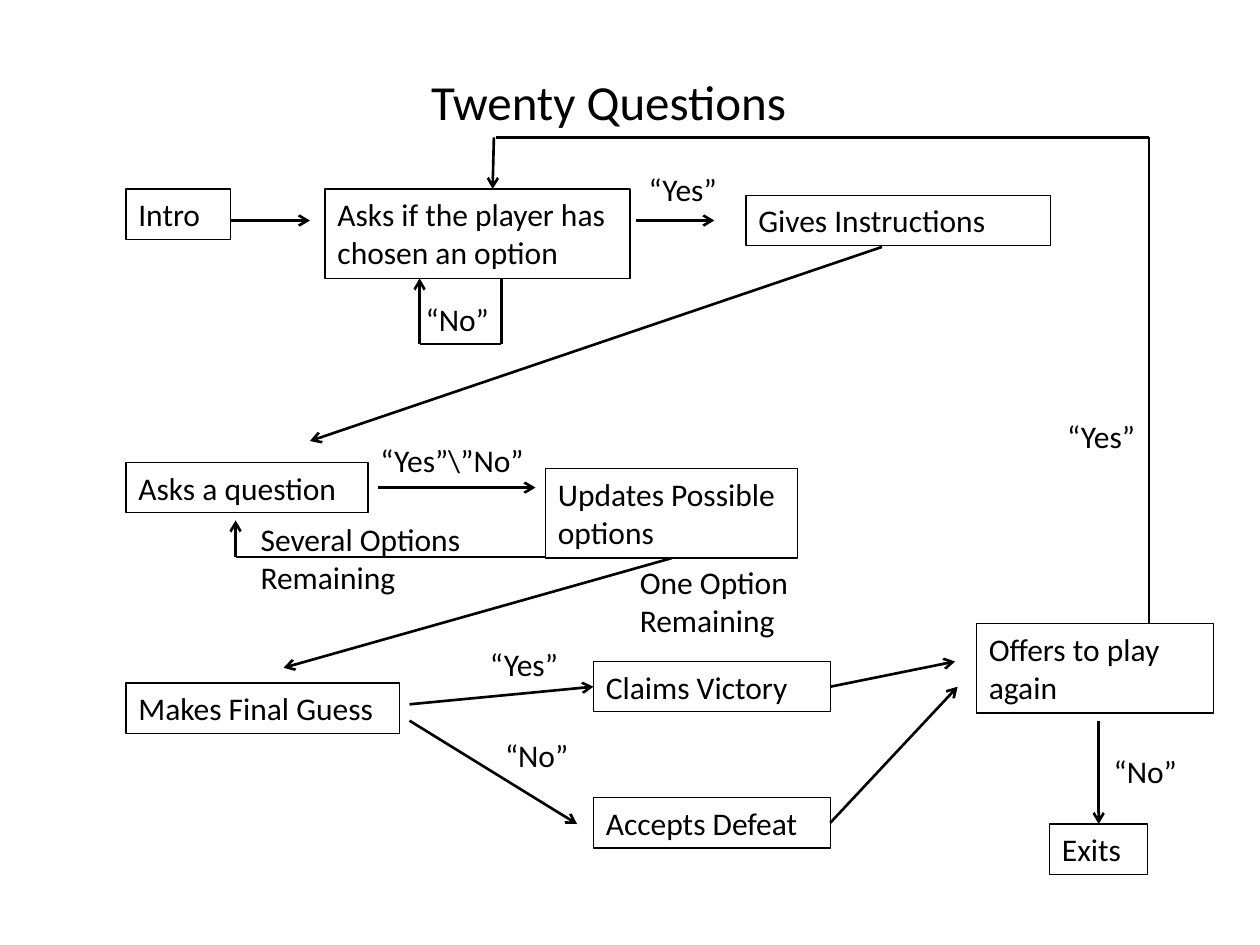
from lxml import etree
from pptx import Presentation
from pptx import util as u
from pptx.dml.color import RGBColor
from pptx.enum import shapes, text
from pptx.oxml.ns import qn

BLACK = RGBColor(0, 0, 0)
FONT = "Calibri"
ONE_LINE, TWO_LINES = 0.4, 0.71
TOP, LEFT, BOTTOM, RIGHT = range(4)


class FlowChart:
    """Holds the style and the current slide."""

    def __init__(self, slide):
        self.slide = slide

    def add_words(self, frame, words, size=18, align=text.PP_ALIGN.LEFT):
        paragraph = frame.paragraphs[0]
        paragraph.alignment = align
        run = paragraph.add_run()
        run.text = words
        run.font.size = u.Pt(size)
        run.font.name = FONT
        run.font.color.rgb = BLACK

    def fit(self, frame, words):
        frame.word_wrap = True
        frame.auto_size = text.MSO_AUTO_SIZE.SHAPE_TO_FIT_TEXT
        frame.vertical_anchor = text.MSO_ANCHOR.TOP
        self.add_words(frame, words)

    def title(self, words, *place):
        heading = self.slide.shapes.title
        heading.left, heading.top, heading.width, heading.height = map(u.Inches, place)
        heading.text_frame.vertical_anchor = text.MSO_ANCHOR.MIDDLE
        self.add_words(heading.text_frame, words, 28, text.PP_ALIGN.CENTER)

    def step(self, words, x, y, width, height=ONE_LINE):
        box = self.slide.shapes.add_shape(
            shapes.MSO_SHAPE.RECTANGLE, *map(u.Inches, (x, y, width, height)))
        box.shadow.inherit = False
        box.fill.background()
        box.line.color.rgb = BLACK
        box.line.width = u.Pt(0.75)
        self.fit(box.text_frame, words)
        return box

    def label(self, words, x, y, width=0.75, height=ONE_LINE):
        note = self.slide.shapes.add_textbox(*map(u.Inches, (x, y, width, height)))
        self.fit(note.text_frame, words)

    def line(self, start, end, source=None, target=None, arrow=False):
        link = self.slide.shapes.add_connector(
            shapes.MSO_CONNECTOR.STRAIGHT, *map(u.Inches, start + end))
        if source:
            link.begin_connect(*source)
        if target:
            link.end_connect(*target)
        link.line.color.rgb = BLACK
        link.line.width = u.Pt(1.5)
        properties = link._element.spPr
        if arrow:
            etree.SubElement(properties.find(qn("a:ln")), qn("a:tailEnd"), type="arrow")
        etree.SubElement(properties, qn("a:effectLst"))

    def arrow(self, start, end, source=None, target=None):
        self.line(start, end, source, target, arrow=True)


def main():
    deck = Presentation()
    deck.slide_width, deck.slide_height = u.Inches(10), u.Inches(7.5)
    chart = FlowChart(deck.slides.add_slide(deck.slide_layouts[5]))

    chart.title("Twenty Questions", 2.33, 0.01, 5, 1.59)

    # Steps of the game
    chart.step("Intro", 1, 1.5, 0.83)
    chart.step("Asks if the player has chosen an option", 2.58, 1.5, 2.42, TWO_LINES)
    chart.step("Gives Instructions", 5.92, 1.55, 2.42)
    chart.step("Asks a question", 1, 3.67, 1.92)
    updates = chart.step("Updates Possible options", 4.33, 3.72, 2, TWO_LINES)
    chart.step("Makes Final Guess", 1, 5.42, 2.17)
    victory = chart.step("Claims Victory", 4.71, 5.25, 1.88)
    defeat = chart.step("Accepts Defeat", 4.71, 6.33, 1.88)
    chart.step("Offers to play again", 7.75, 4.95, 1.88, TWO_LINES)
    exits = chart.step("Exits", 8.33, 6.54, 0.78)

    # Arrows from step to step
    chart.arrow((1.83, 1.75), (2.46, 1.75))
    chart.arrow((5.05, 1.75), (5.67, 1.75))
    chart.arrow((7, 1.96), (2.46, 3.5))
    chart.arrow((3, 3.87), (4.25, 3.87))
    chart.arrow((5.33, 4.42), (2.25, 5.3), source=(updates, BOTTOM))
    chart.arrow((3.25, 5.59), (4.71, 5.46), target=(victory, LEFT))
    chart.arrow((3.25, 5.72), (4.58, 6.54))
    chart.arrow((6.58, 6.53), (7.6, 5.45), source=(defeat, RIGHT))
    chart.arrow((6.58, 5.47), (7.58, 5.25), source=(victory, RIGHT))
    chart.arrow((8.72, 5.72), (8.72, 6.53), target=(exits, TOP))

    # Loop while no option is chosen
    chart.line((3.98, 2.73), (3.98, 2.21))
    chart.line((3.33, 2.73), (3.98, 2.73))
    chart.arrow((3.33, 2.73), (3.33, 2.21))

    # Loop back to the next question
    chart.line((1.87, 4.42), (4.33, 4.42))
    chart.arrow((1.87, 4.42), (1.87, 4.13))

    # Loop back to a new game
    chart.line((9.12, 4.95), (9.12, 1.09))
    chart.line((3.94, 1.09), (9.12, 1.09))
    chart.arrow((3.92, 1.09), (3.91, 1.5))

    # Answers and conditions
    for x, y in ((5.05, 1.3), (3.79, 5.07), (8.37, 3.26)):
        chart.label("“Yes”", x, y)
    for x, y in ((3.91, 5.79), (3.28, 2.33), (8.74, 5.92)):
        chart.label("“No”", x, y)
    chart.label("“Yes”\\”No”", 2.92, 3.45, 1.5)
    chart.label("Several Options Remaining", 1.97, 4.08, 1.87, TWO_LINES)
    chart.label("One Option Remaining", 4.98, 4.42, 1.44, TWO_LINES)

    deck.save("out.pptx")


if __name__ == "__main__":
    main()
